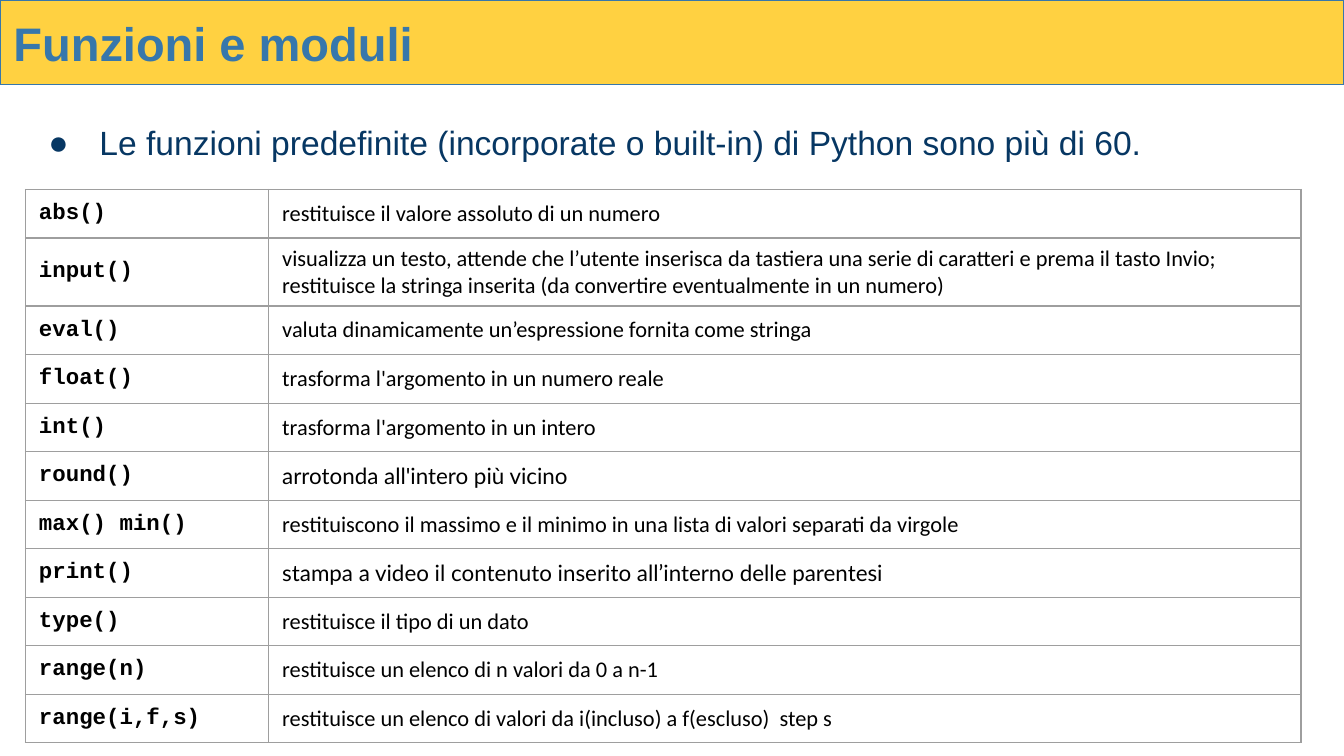
from typing import Any, NamedTuple

import pptx
import pptx.dml.color
import pptx.enum.text
import pptx.oxml
import pptx.oxml.ns
import pptx.util
from pptx.util import Inches, Pt

WIDE = 10
HIGH = WIDE * 9 / 16
HUES = {"gold": "FFD141", "blue": "3777AB", "navy": "073763",
        "black": "000000", "gray": "9E9E9E"}
MID = pptx.enum.text.MSO_ANCHOR.MIDDLE
TOP = pptx.enum.text.MSO_ANCHOR.TOP
LEFT = pptx.enum.text.PP_ALIGN.LEFT


class Box(NamedTuple):
    """Place and size as shares of the slide."""
    x: float
    y: float
    w: float
    h: float

    def frame(self) -> dict[str, int]:
        return {"left": Inches(self.x * WIDE), "top": Inches(self.y * HIGH),
                "width": Inches(self.w * WIDE), "height": Inches(self.h * HIGH)}


class Face(NamedTuple):
    """Look of a run of text."""
    name: str
    size: float
    hue: str
    bold: bool = False


class Entry(NamedTuple):
    """One table row: a function and what it does, with its height in points."""
    call: str
    note: str
    font: str = "Calibri"
    high: float = 26


TITLE = Box(0, 0, 1, 0.63 / HIGH)
BODY = Box(0.014, 0.83 / HIGH, 0.954, 0.49 / HIGH)
GRID = Box(0.019, 1.41 / HIGH, 0.949, 4.03 / HIGH)
COLS = (0.181, 0.768)

ROWS = [
    Entry("abs()", "restituisce il valore assoluto di un numero"),
    Entry("input()", "visualizza un testo, attende che l’utente inserisca da "
          "tastiera una serie di caratteri e prema il tasto Invio; restituisce "
          "la stringa inserita (da convertire eventualmente in un numero)",
          high=31),
    Entry("eval()", "valuta dinamicamente un’espressione fornita come stringa"),
    Entry("float()", "trasforma l'argomento in un numero reale"),
    Entry("int()", "trasforma l'argomento in un intero"),
    Entry("round()", "arrotonda all'intero più vicino", "Lato"),
    Entry("max() min()", "restituiscono il massimo e il minimo in una lista "
          "di valori separati da virgole"),
    Entry("print()", "stampa a video il contenuto inserito all’interno delle "
          "parentesi", "Lato"),
    Entry("type()", "restituisce il tipo di un dato"),
    Entry("range(n)", "restituisce un elenco di n valori da 0 a n-1"),
    Entry("range(i,f,s)", "restituisce un elenco di valori da i(incluso) a "
          "f(escluso)  step s"),
]


def apply(item: Any, form: dict[str, Any]) -> None:
    for key, value in form.items():
        setattr(item, key, value)


def color(hue: str) -> pptx.dml.color.RGBColor:
    return pptx.dml.color.RGBColor.from_string(HUES[hue])


def node(text: str) -> Any:
    """Build an XML element in the drawing namespace."""
    head, tail = text.split(" ", 1)
    space = pptx.oxml.ns.nsdecls("a")
    return pptx.oxml.parse_xml(f"{head} {space} {tail}")


def write(para: Any, text: str, face: Face) -> None:
    run = para.add_run()
    run.text = text
    apply(run.font, {"name": face.name, "size": Pt(face.size), "bold": face.bold})
    run.font.color.rgb = color(face.hue)


def fill_in(shape: Any, box: Box, text: str, face: Face, anchor: Any) -> Any:
    """Place a placeholder and write its one paragraph."""
    apply(shape, box.frame())
    frame = shape.text_frame
    sides = ("left", "right", "top", "bottom")
    apply(frame, {f"margin_{side}": Inches(0.1) for side in sides})
    apply(frame, {"word_wrap": True, "vertical_anchor": anchor,
                  "auto_size": pptx.enum.text.MSO_AUTO_SIZE.NONE})
    para = frame.paragraphs[0]
    apply(para, {"alignment": LEFT, "space_before": Pt(0)})
    write(para, text, face)
    return para


def add_dot(para: Any, hue: str) -> None:
    """Give a paragraph a round bullet with a hanging indent."""
    props = para._p.get_or_add_pPr()
    props.set("marL", str(Inches(0.5)))
    props.set("indent", str(Inches(-0.38)))
    props.append(node(f'<a:buClr ><a:srgbClr val="{HUES[hue]}"/></a:buClr>'))
    props.append(node('<a:buFont typeface="Arial"/>'))
    props.append(node('<a:buChar char="●"/>'))


def set_cell(cell: Any, text: str, face: Face) -> None:
    apply(cell, {"vertical_anchor": MID,
                 "margin_left": Inches(0.1), "margin_right": Inches(0.1),
                 "margin_top": Inches(0.05), "margin_bottom": Inches(0.05)})
    props = cell._tc.get_or_add_tcPr()
    for side in "LRTB":
        props.append(node(
            f'<a:ln{side} w="{Pt(0.75)}"><a:solidFill><a:srgbClr '
            f'val="{HUES["gray"]}"/></a:solidFill></a:ln{side}>'))
    cell.fill.background()
    write(cell.text_frame.paragraphs[0], text, face)


def add_grid(slide: Any, box: Box, rows: list[Entry]) -> None:
    table = slide.shapes.add_table(len(rows), len(COLS),
                                   *box.frame().values()).table
    apply(table, {"first_row": False, "horz_banding": False})
    for col, share in zip(table.columns, COLS):
        col.width = Inches(share * WIDE)
    for line, entry in zip(table.rows, rows):
        line.height = Pt(entry.high)
        call, note = line.cells
        set_cell(call, entry.call, Face("Courier New", 12, "black", True))
        set_cell(note, entry.note, Face(entry.font, 12, "black"))


def main() -> None:
    deck = pptx.Presentation()
    apply(deck, {"slide_width": Inches(WIDE), "slide_height": Inches(HIGH)})
    slide = deck.slides.add_slide(deck.slide_layouts[1])
    title, body = slide.placeholders

    # Title band
    fill_in(title, TITLE, "Funzioni e moduli",
            Face("Arial", 25.2, "blue", True), MID)
    title.fill.solid()
    title.fill.fore_color.rgb = color("gold")
    title.line.color.rgb = color("blue")
    title.line.width = Pt(0.75)

    # Lead bullet
    para = fill_in(body, BODY, "Le funzioni predefinite (incorporate o built-in) "
                   "di Python sono più di 60.", Face("Arial", 18, "navy"), TOP)
    para.line_spacing = 0.95
    add_dot(para, "navy")

    # Table of functions
    add_grid(slide, GRID, ROWS)
    deck.save("out.pptx")


if __name__ == "__main__":
    main()
